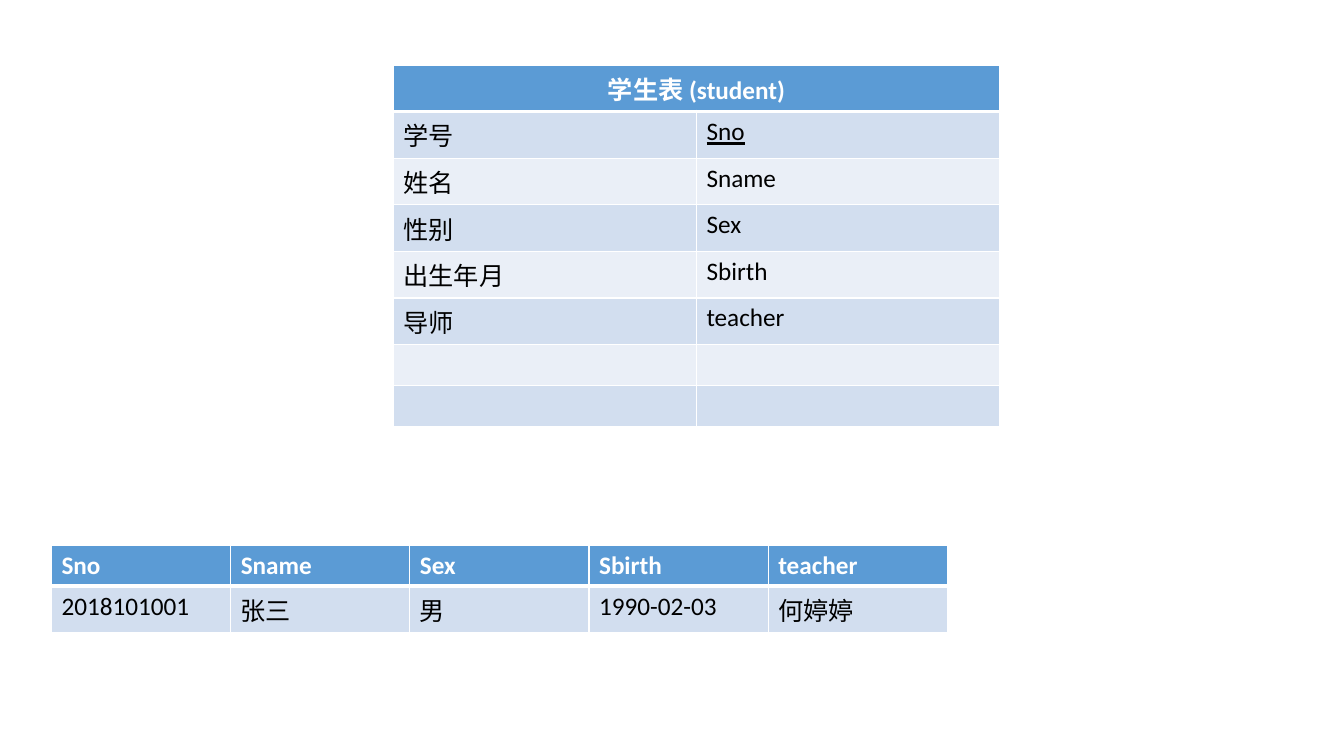
"""Build a slide with the student table definition and a sample record."""
from lxml import etree
from pptx import Presentation
from pptx.dml.color import RGBColor
from pptx.enum import text
from pptx.oxml import ns
from pptx.util import Pt


def rgb(value):
    return RGBColor.from_string(value)


def add_grid(slide, rows, left, top, col_width):
    row_height = 29.2
    tbl = slide.shapes.add_table(
        len(rows), len(rows[0]), Pt(left), Pt(top),
        Pt(col_width * len(rows[0])), Pt(row_height * len(rows))).table
    for i, row in enumerate(rows):
        tbl.rows[i].height = Pt(row_height)
        for j, value in enumerate(row):
            cell = tbl.cell(i, j)
            tcPr = cell._tc.get_or_add_tcPr()
            widths = {"L": 1, "R": 1, "T": 3 if i == 1 else 1, "B": 3 if i == 0 else 1}
            for side, width in widths.items():
                ln = etree.SubElement(tcPr, ns.qn(f"a:ln{side}"), w=str(Pt(width)))
                fill = etree.SubElement(ln, ns.qn("a:solidFill"))
                etree.SubElement(fill, ns.qn("a:srgbClr"), val="FFFFFF")
            cell.fill.solid()
            cell.fill.fore_color.rgb = rgb("5B9BD5" if i == 0 else ("EAEFF7", "D2DEEF")[i % 2])
            p = cell.text_frame.paragraphs[0]
            p.text = value
            p.font.name = "Calibri"
            p.font.size = Pt(18)
            p.font.bold = i == 0
            p.font.color.rgb = rgb("FFFFFF" if i == 0 else "000000")
    return tbl


prs = Presentation()
prs.slide_width, prs.slide_height = Pt(960), Pt(540)
s = prs.slides.add_slide(prs.slide_layouts[6])

fields = [
    ("学生表 (student)", ""),
    ("学号", "Sno"),
    ("姓名", "Sname"),
    ("性别", "Sex"),
    ("出生年月", "Sbirth"),
    ("导师", "teacher"),
    ("", ""),
    ("", ""),
]
student = add_grid(s, fields, 281, 46.4, 216.5)
title = student.cell(0, 0)
title.merge(student.cell(0, 1))
title.text_frame.paragraphs[0].alignment = text.PP_ALIGN.CENTER
student.cell(1, 1).text_frame.paragraphs[0].runs[0].font.underline = True

names = [name for _, name in fields[1:6]]
record = ["2018101001", "张三", "男", "1990-02-03", "何婷婷"]
add_grid(s, [names, record], 36.8, 389.4, 128)

prs.save("out.pptx")
